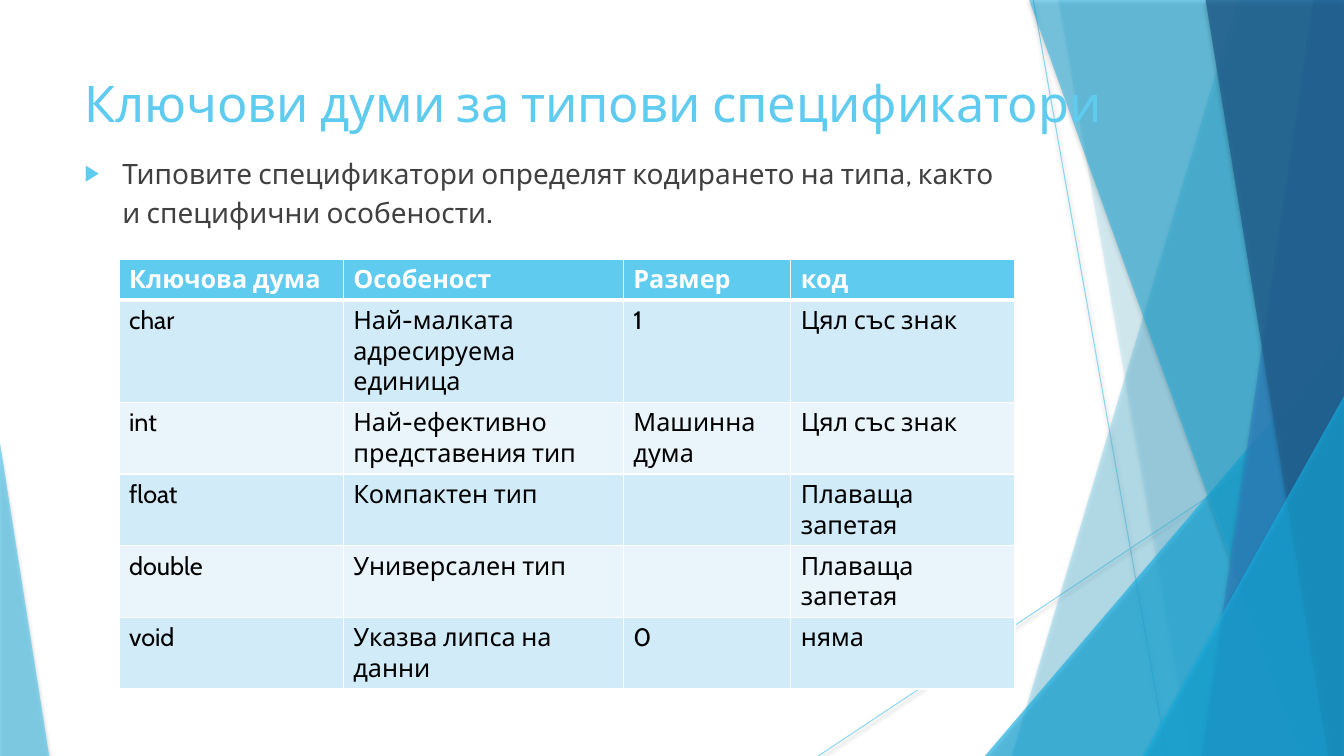
import pptx
import pptx.dml.color
import pptx.enum.shapes
import pptx.enum.text
import pptx.oxml
import pptx.oxml.ns
import pptx.util

Cm, Pt = pptx.util.Cm, pptx.util.Pt
RGB = pptx.dml.color.RGBColor.from_string
qn = pptx.oxml.ns.qn
NAMESPACE = pptx.oxml.ns.nsdecls("a")
FONT = "Cabin"
WIDTH, HEIGHT = 33.87, 19.05
COLOURS = {
    "sky": "5FCBEF", "cyan": "17B0E4", "blue": "2E83C3", "navy": "226292",
    "white": "FFFFFF", "black": "000000", "text": "404040",
    "odd": "D2EBF8", "even": "EAF5FB",
}


def add_run(paragraph, text, size, colour, bold=False):
    run = paragraph.add_run()
    run.text = text
    run.font.name = FONT
    run.font.size = Pt(size)
    run.font.bold = bold
    run.font.color.rgb = RGB(COLOURS[colour])


def add_effects(shape, opacity, shadow_opacity, blur, distance):
    """Make the painted colour translucent and cast a soft shadow downwards."""
    properties = shape.element.spPr
    colour = next(properties.iter(qn("a:srgbClr")))
    colour.append(pptx.oxml.parse_xml(f'<a:alpha {NAMESPACE} val="{opacity * 1000}"/>'))
    properties.append(pptx.oxml.parse_xml(
        f'<a:effectLst {NAMESPACE}><a:outerShdw blurRad="{Pt(blur)}" dist="{Pt(distance)}" '
        f'dir="5400000" rotWithShape="0"><a:srgbClr val="{COLOURS["black"]}">'
        f'<a:alpha val="{shadow_opacity * 1000}"/></a:srgbClr></a:outerShdw></a:effectLst>'))


presentation = pptx.Presentation()
presentation.slide_width, presentation.slide_height = Cm(WIDTH), Cm(HEIGHT)
slide = presentation.slides.add_slide(presentation.slide_layouts[1])
shapes = slide.shapes

# Thin crossing lines
for start_x, start_y, end_x in ((26.04, 0, 29.41), (WIDTH, 10.24, 20.62)):
    line = shapes.add_connector(pptx.enum.shapes.MSO_CONNECTOR.STRAIGHT,
                                Cm(start_x), Cm(start_y), Cm(end_x), Cm(HEIGHT))
    line.line.color.rgb = RGB(COLOURS["sky"])
    line.line.width = Pt(0.75)
    add_effects(line, 70, 38, 3.1, 1.6)

# Translucent facets, back to front
# panel: top left x, bottom left x; triangle: left, top, width, apex position
facets = [
    ("panel", (31.2, 25.5), "sky", 36),
    ("panel", (26.67, 30.02), "sky", 20),
    ("triangle", (24.82, 8.46, 9.05, 1), "cyan", 66),
    ("panel", (25.93, 32.8), "cyan", 50),
    ("panel", (33.1, 30.28), "blue", 70),
    ("panel", (30.38, 33.48), "navy", 80),
    ("triangle", (28.8, 9.98, 5.07, 1), "cyan", 66),
    ("triangle", (0, 11.15, 1.24, 0), "sky", 70),
]
for kind, geometry, colour, opacity in facets:
    if kind == "panel":
        top_x, bottom_x = geometry
        builder = shapes.build_freeform(Cm(top_x), Cm(-0.02))
        builder.add_line_segments([(Cm(WIDTH), Cm(-0.02)), (Cm(WIDTH), Cm(HEIGHT)),
                                   (Cm(bottom_x), Cm(HEIGHT))], close=True)
        facet = builder.convert_to_shape()
    else:
        left, top, width, apex = geometry
        facet = shapes.add_shape(pptx.enum.shapes.MSO_SHAPE.ISOSCELES_TRIANGLE,
                                 Cm(left), Cm(top), Cm(width), Cm(HEIGHT - top))
        facet.adjustments[0] = apex
    facet.fill.solid()
    facet.fill.fore_color.rgb = RGB(COLOURS[colour])
    facet.line.fill.background()
    add_effects(facet, opacity, 35, 3, 2)

# Title and body, brought in front of the facets
title, body = shapes.title, slide.placeholders[1]
for placeholder, top, width, height in ((title, 1.7, 27.05, 1.96), (body, 3.81, 23.88, 12.98)):
    placeholder.left, placeholder.top = Cm(1.88), Cm(top)
    placeholder.width, placeholder.height = Cm(width), Cm(height)
    frame = placeholder.text_frame
    frame.word_wrap = True
    frame.auto_size = pptx.enum.text.MSO_AUTO_SIZE.NONE
    frame.vertical_anchor = pptx.enum.text.MSO_ANCHOR.TOP
    frame.paragraphs[0].alignment = pptx.enum.text.PP_ALIGN.LEFT
    placeholder.element.getparent().append(placeholder.element)

add_run(title.text_frame.paragraphs[0], "Ключови думи за типови спецификатори", 36, "sky")

paragraph = body.text_frame.paragraphs[0]
paragraph.space_before = Pt(10)
add_run(paragraph, "Типовите спецификатори определят кодирането на типа, "
                   "както и специфични особености", 20, "text")
add_run(paragraph, ".", 24, "text")
paragraph_properties = paragraph._p.get_or_add_pPr()
paragraph_properties.set("marL", str(Cm(0.95)))
paragraph_properties.set("indent", str(Cm(-0.95)))
for bullet in (f'<a:buClr {NAMESPACE}><a:srgbClr val="{COLOURS["sky"]}"/></a:buClr>',
               f'<a:buSzPct {NAMESPACE} val="80000"/>',
               f'<a:buChar {NAMESPACE} char="▶"/>'):
    paragraph_properties.append(pptx.oxml.parse_xml(bullet))

# Table of type specifiers
rows = [
    ("Ключова дума", "Особеност", "Размер", "код"),
    ("char", "Най-малката адресируема единица", "1", "Цял със знак"),
    ("int", "Най-ефективно представения тип", "Машинна дума", "Цял със знак"),
    ("float", "Компактен тип", "", "Плаваща запетая"),
    ("double", "Универсален тип", "", "Плаваща запетая"),
    ("void", "Указва липса на данни", "0", "няма"),
]
column_widths = (5.65, 7.06, 4.22, 5.65)
row_heights = (0.99, 1.73, 1.73, 0.99, 0.99, 1.73)
table = shapes.add_table(len(rows), len(column_widths), Cm(3), Cm(6.53),
                         Cm(sum(column_widths)), Cm(sum(row_heights))).table
for column, width in zip(table.columns, column_widths):
    column.width = Cm(width)
for row_index, (texts, height) in enumerate(zip(rows, row_heights)):
    table.rows[row_index].height = Cm(height)
    header = row_index == 0
    fill = "sky" if header else "odd" if row_index % 2 else "even"
    borders = {"L": 0.96, "R": 0.96, "T": 3 if row_index == 1 else 0.96,
               "B": 3 if header else 0.96}
    for column_index, text in enumerate(texts):
        cell = table.cell(row_index, column_index)
        cell_properties = cell._tc.get_or_add_tcPr()
        for side, border_width in borders.items():
            cell_properties.append(pptx.oxml.parse_xml(
                f'<a:ln{side} {NAMESPACE} w="{Pt(border_width)}"><a:solidFill>'
                f'<a:srgbClr val="{COLOURS["white"]}"/></a:solidFill></a:ln{side}>'))
        cell.fill.solid()
        cell.fill.fore_color.rgb = RGB(COLOURS[fill])
        if text:
            add_run(cell.text_frame.paragraphs[0], text, 18,
                    "white" if header else "black", header)

presentation.save("out.pptx")
